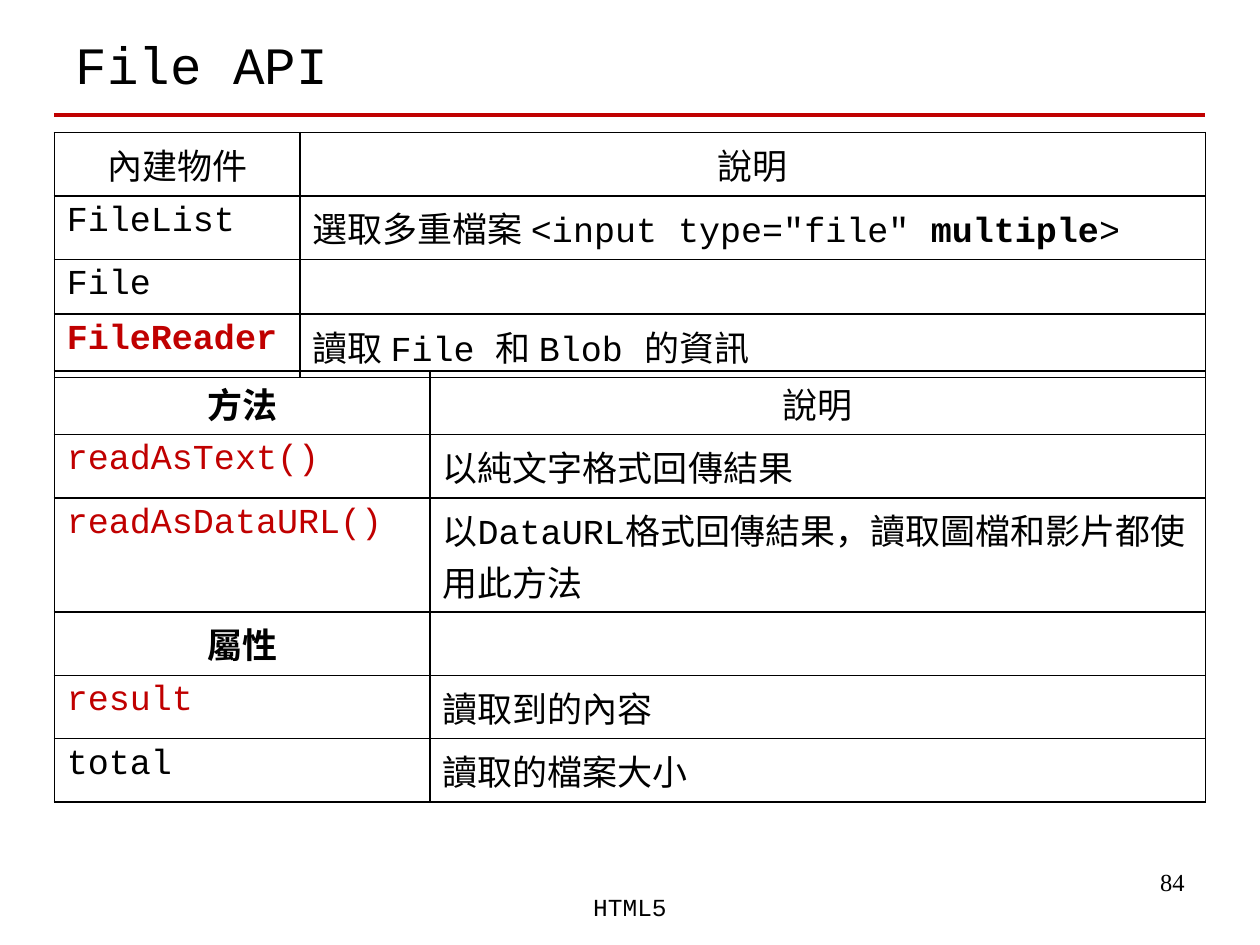
from lxml import etree
from pptx import Presentation
from pptx.dml.color import RGBColor
from pptx.enum.shapes import MSO_CONNECTOR
from pptx.enum.text import MSO_ANCHOR, PP_ALIGN
from pptx.oxml.ns import qn
from pptx.util import Pt

LEFT, CENTER, RIGHT = PP_ALIGN.LEFT, PP_ALIGN.CENTER, PP_ALIGN.RIGHT
MIDDLE, TOP = MSO_ANCHOR.MIDDLE, MSO_ANCHOR.TOP
STRAIGHT = MSO_CONNECTOR.STRAIGHT
COLORS = {"text": "000000", "accent": "C00000", "border": "000000"}
MONO, SERIF = "Courier New", "Times New Roman"
TABLE_LEFT = 31
ROW_HEIGHT, LATIN_ROW_HEIGHT, TWO_LINE_HEIGHT = 36.25, 31, 65.25

OBJECT_ROWS = [
    [[("內建物件",)], [("說明",)]],
    [[("FileList",)],
     [('選取多重檔案 <input type="file" ',), ("multiple", "text", True), (">",)]],
    [[("File",)], []],
    [[("FileReader", "accent", True)], [("讀取 File 和 Blob 的資訊",)]],
]
METHOD_ROWS = [
    [[("方法", "text", True)], [("說明",)]],
    [[("readAsText()", "accent")], [("以純文字格式回傳結果",)]],
    [[("readAsDataURL()", "accent")],
     [("以DataURL格式回傳結果，讀取圖檔和影片都使用此方法",)]],
    [[("屬性", "text", True)], []],
    [[("result", "accent")], [("讀取到的內容",)]],
    [[("total",)], [("讀取的檔案大小",)]],
]


def add_span(para, text, color="text", bold=False, size=20, font=MONO):
    span = para.add_run()
    span.text = text
    span.font.name = font
    span.font.size = Pt(size)
    span.font.bold = bold
    span.font.color.rgb = RGBColor.from_string(COLORS[color])


def add_title(page, left, top, width, height):
    title = page.shapes.title
    title.left, title.top = Pt(left), Pt(top)
    title.width, title.height = Pt(width), Pt(height)
    title.text_frame.vertical_anchor = MIDDLE
    para = title.text_frame.paragraphs[0]
    para.alignment = LEFT
    add_span(para, "File API", size=30)


def add_rule(page, left, top, width):
    rule = page.shapes.add_connector(STRAIGHT, Pt(left), Pt(top), Pt(left + width), Pt(top))
    rule.line.color.rgb = RGBColor.from_string(COLORS["accent"])
    rule.line.width = Pt(2.25)
    etree.SubElement(rule._element.spPr, qn("a:effectLst"))


def add_label(page, left, top, width, height, text, align, font):
    box = page.shapes.add_textbox(Pt(left), Pt(top), Pt(width), Pt(height))
    box.text_frame.word_wrap = True
    para = box.text_frame.paragraphs[0]
    para.alignment = align
    add_span(para, text, size=14, font=font)


def add_borders(cell):
    properties = cell._tc.get_or_add_tcPr()
    for index, side in enumerate(("lnL", "lnR", "lnT", "lnB")):
        line = etree.Element(qn(f"a:{side}"), w=str(Pt(1)))
        fill = etree.SubElement(line, qn("a:solidFill"))
        etree.SubElement(fill, qn("a:srgbClr"), val=COLORS["border"])
        properties.insert(index, line)


def add_grid(page, left, top, widths, heights, rows, header_cells):
    frame = page.shapes.add_table(len(rows), len(widths), Pt(left), Pt(top),
                                  Pt(sum(widths)), Pt(sum(heights)))
    table = frame.table
    table.first_row = table.horz_banding = False
    for column, width in zip(table.columns, widths):
        column.width = Pt(width)
    for row_index, (row, height) in enumerate(zip(rows, heights)):
        table.rows[row_index].height = Pt(height)
        for column_index, spans in enumerate(row):
            cell = table.cell(row_index, column_index)
            cell.vertical_anchor = TOP
            cell.fill.background()
            add_borders(cell)
            para = cell.text_frame.paragraphs[0]
            is_header = (row_index, column_index) in header_cells
            para.alignment = CENTER if is_header else LEFT
            for span in spans:
                add_span(para, *span)


def main():
    deck = Presentation()
    deck.slide_width, deck.slide_height = Pt(720), Pt(540)
    page = deck.slides.add_slide(deck.slide_layouts[5])
    add_label(page, 516, 492, 168, 37.5, "84", RIGHT, SERIF)
    add_title(page, 36, 9, 648, 55)
    add_rule(page, TABLE_LEFT, 65.5, 657.5)
    add_label(page, 246, 506, 228, 36, "HTML5", CENTER, MONO)
    method_heights = [ROW_HEIGHT] * len(METHOD_ROWS)
    method_heights[2] = TWO_LINE_HEIGHT
    add_grid(page, TABLE_LEFT, 212, [214.75, 443], method_heights,
             METHOD_ROWS, {(0, 0), (0, 1), (3, 0)})
    object_heights = [ROW_HEIGHT] * len(OBJECT_ROWS)
    object_heights[2] = LATIN_ROW_HEIGHT
    add_grid(page, TABLE_LEFT, 75.75, [140.5, 517.25], object_heights,
             OBJECT_ROWS, {(0, 0), (0, 1)})
    deck.save("out.pptx")


if __name__ == "__main__":
    main()
